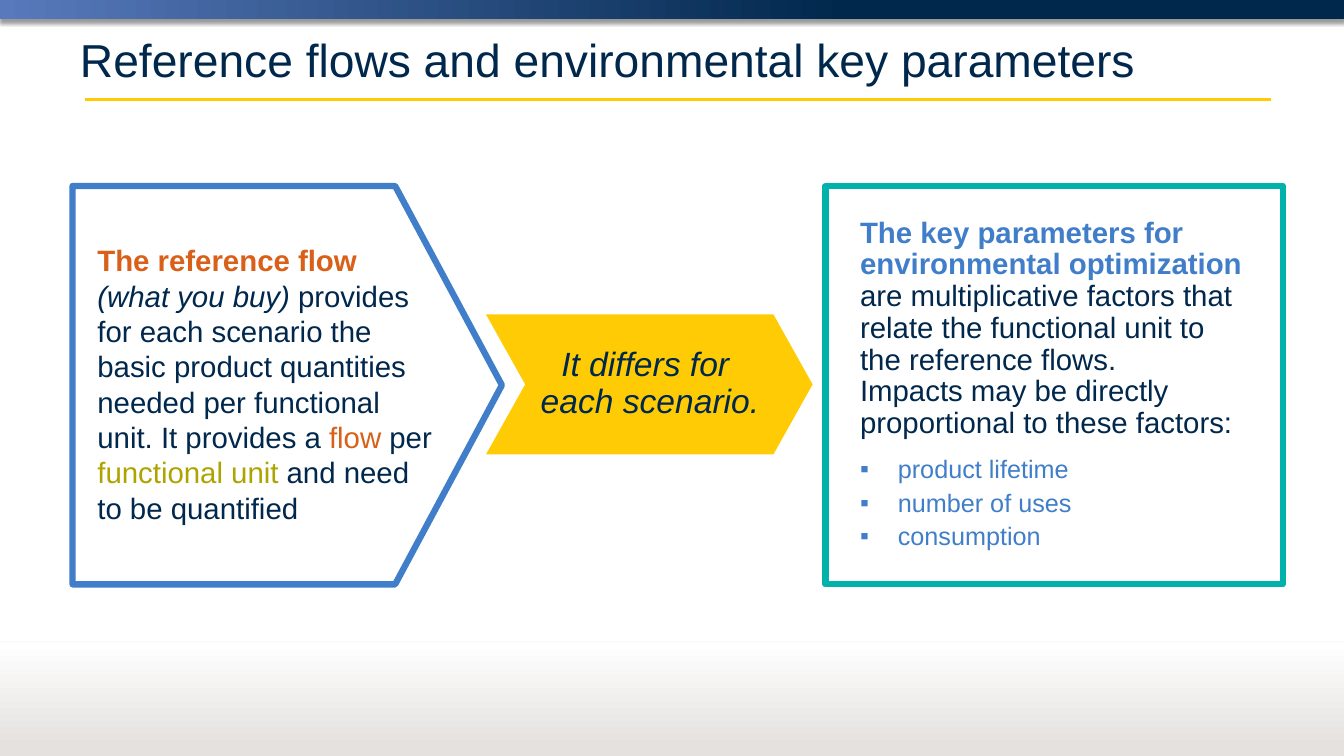
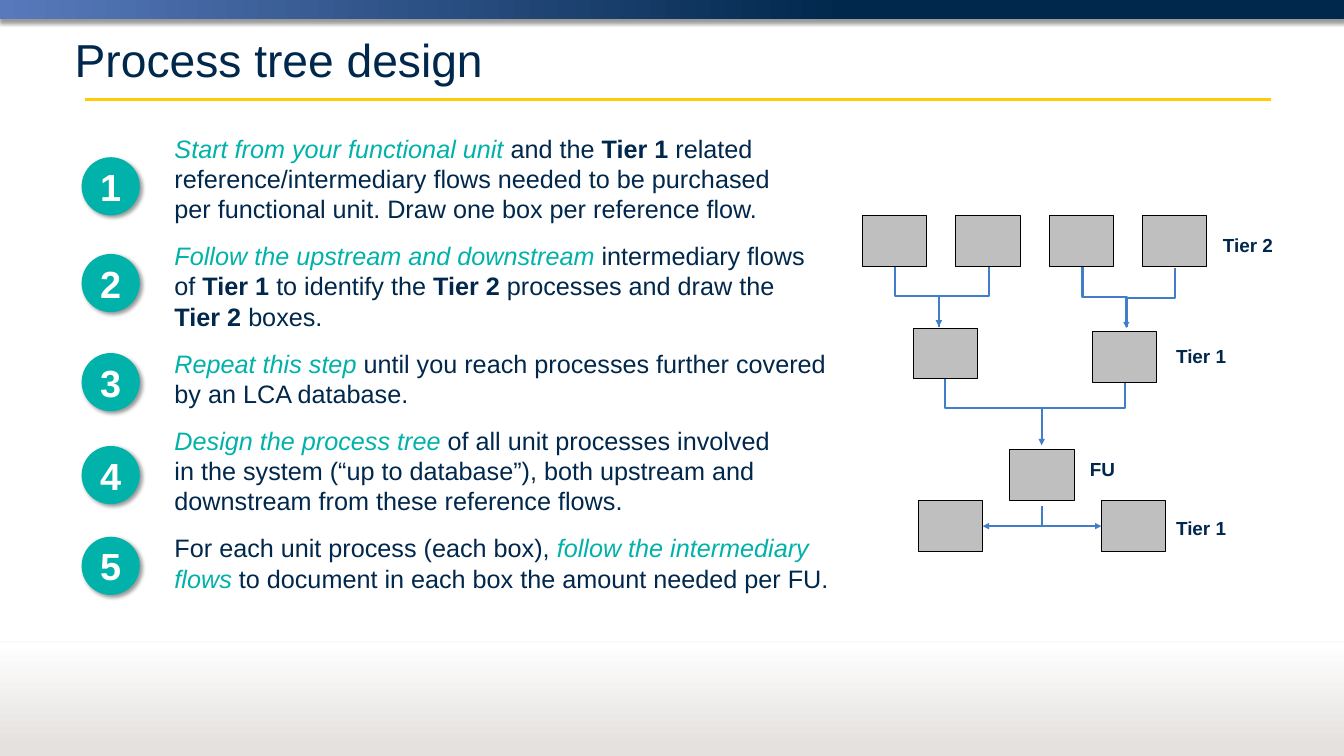
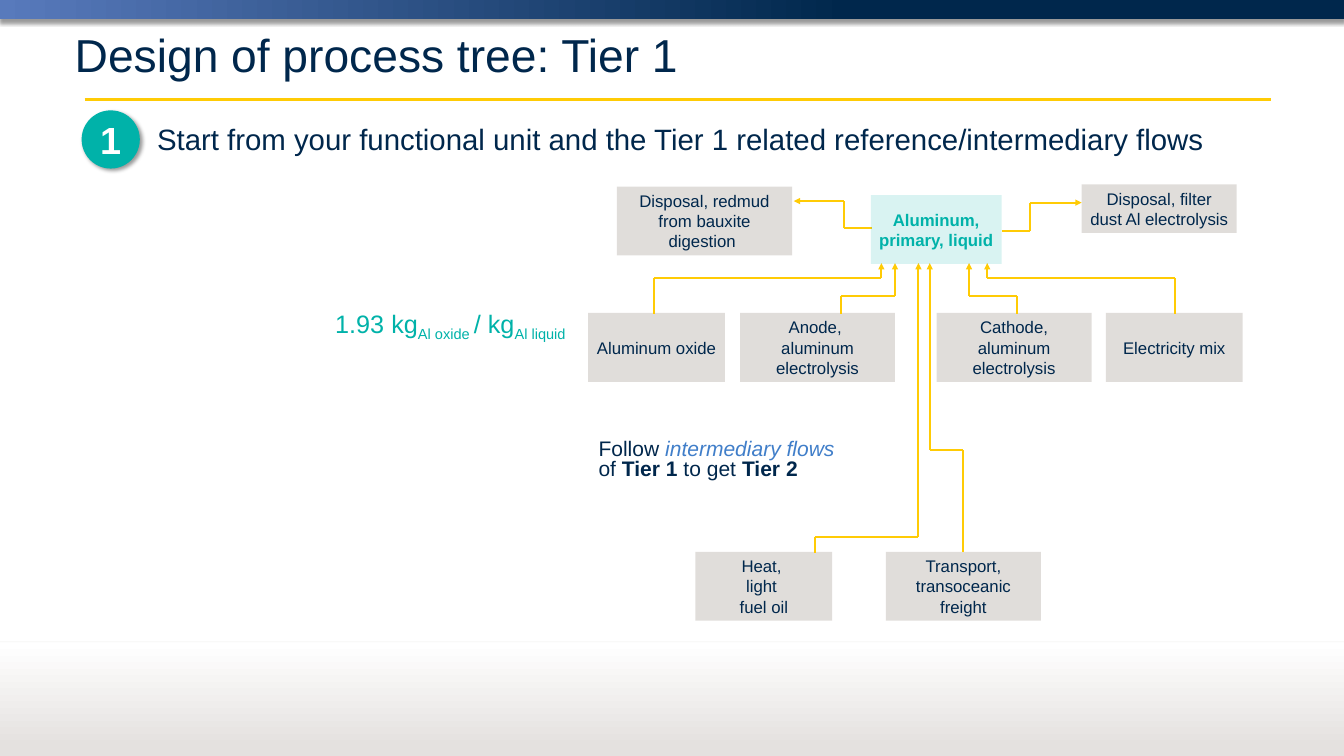
import lxml.etree
import pptx
import pptx.dml.color
import pptx.enum.shapes
import pptx.enum.text
import pptx.oxml.ns
import pptx.util

# Slide grid: one column and one row are each one inch
COLS, ROWS = 17.78, 10
FONT = "Arial"
NAVY, BLUE, SKY = "00274C", "407EC9", "587ABC"
GOLD, TEAL, ORANGE, OLIVE = "FFCB05", "00B2A9", "D86018", "ADA400"
STONE, WARM, GREY, WHITE, BLACK = "E4E1DF", "B0A8A2", "BFBFBF", "FFFFFF", "000000"

SHAPE = pptx.enum.shapes.MSO_SHAPE
LINE = pptx.enum.shapes.MSO_CONNECTOR
CENTER = pptx.enum.text.PP_ALIGN.CENTER
MIDDLE = pptx.enum.text.MSO_ANCHOR.MIDDLE
qn = pptx.oxml.ns.qn

BOLD = {"bold": True}
TEAL_ITALIC = {"color": TEAL, "italic": True}


def cells(*values):
    return [pptx.util.Inches(v) for v in values]


def rgb(value):
    return pptx.dml.color.RGBColor.from_string(value)


def add_xml(parent, tag, **attrs):
    return lxml.etree.SubElement(parent, qn(tag), {k: str(v) for k, v in attrs.items()})


def set_alpha(sp, percent):
    color = sp._element.spPr.find(".//" + qn("a:srgbClr"))
    add_xml(color, "a:alpha", val=percent * 1000)


def set_shadow(sp, alpha, blur, dist, angle):
    effects = sp._element.spPr.find(qn("a:effectLst"))
    outer = add_xml(effects, "a:outerShdw", blurRad=int(blur * 12700),
                    dist=int(dist * 12700), dir=angle * 60000, algn="ctr", rotWithShape=0)
    color = add_xml(outer, "a:srgbClr", val=BLACK)
    add_xml(color, "a:alpha", val=alpha * 1000)


# Text
def add_run(p, content, style):
    text, extra = (content, {}) if isinstance(content, str) else content
    fmt = {"name": FONT, "size": 24, "color": NAVY, **style, **extra}
    color, base = fmt.pop("color"), fmt.pop("baseline", None)
    fmt["size"] = pptx.util.Pt(fmt["size"])
    for i, line in enumerate(text.split("\n")):
        if i:
            p.add_line_break()
        if not line:
            continue
        r = p.add_run()
        r.text = line
        for name, value in fmt.items():
            setattr(r.font, name, value)
        r.font.color.rgb = rgb(color)
        if base:
            r._r.get_or_add_rPr().set("baseline", str(base * 1000))


def add_bullet(p, mark, color):
    pPr = p._p.get_or_add_pPr()
    indent = cells(0.5)[0]
    pPr.set("marL", str(indent))
    pPr.set("indent", str(-indent))
    add_xml(add_xml(pPr, "a:buClr"), "a:srgbClr", val=color)
    add_xml(pPr, "a:buFont", typeface=FONT)
    add_xml(pPr, "a:buChar", char=mark)


def write(sp, paragraphs, para=None, anchor=None, wrap=True, **style):
    """Fill a shape; each paragraph is a list of runs, a run is text or (text, format)."""
    tf = sp.text_frame
    tf.word_wrap = wrap
    if anchor is not None:
        tf.vertical_anchor = anchor
    for i, runs in enumerate(paragraphs):
        p = tf.add_paragraph() if i else tf.paragraphs[0]
        for name, value in (para or {}).items():
            setattr(p, name, value)
        for content in runs:
            add_run(p, content, style)
    return tf


def add_text(s, box, paragraphs, **options):
    return write(s.shapes.add_textbox(*cells(*box)), paragraphs, **options)


# Shapes and lines
def add_shape(s, kind, box, fill=None, alpha=None, line=None, width=1, adjust=()):
    sp = s.shapes.add_shape(kind, *cells(*box))
    sp.shadow.inherit = False
    for i, value in enumerate(adjust):
        sp.adjustments[i] = value
    if fill:
        sp.fill.solid()
        sp.fill.fore_color.rgb = rgb(fill)
    else:
        sp.fill.background()
    if alpha:
        set_alpha(sp, alpha)
    if line:
        sp.line.color.rgb = rgb(line)
        sp.line.width = pptx.util.Pt(width)
    else:
        sp.line.fill.background()
    return sp


def add_gradient(s, box, stops, angle):
    sp = add_shape(s, SHAPE.RECTANGLE, box, WHITE)
    sp.fill.gradient()
    sp.fill.gradient_angle = angle
    for stop, (position, color) in zip(sp.fill.gradient_stops, stops):
        stop.position = position
        stop.color.rgb = rgb(color)
    return sp


def add_line(s, start, end, color, width=2, arrow=False, kind=LINE.STRAIGHT):
    cxn = s.shapes.add_connector(kind, *cells(*start, *end))
    cxn.line.color.rgb = rgb(color)
    cxn.line.width = pptx.util.Pt(width)
    if arrow:
        add_xml(cxn.line._get_or_add_ln(), "a:tailEnd", type="triangle")
    add_xml(cxn._element.spPr, "a:effectLst")
    return cxn


def add_path(s, points, color):
    """Straight segments through the points, with an arrowhead on the last one."""
    last = len(points) - 2
    for i, (start, end) in enumerate(zip(points, points[1:])):
        add_line(s, start, end, color, arrow=i == last)


def add_elbow(s, start, end, color, arrow=False, corners=2):
    """A bent connector that leaves its start downwards."""
    (x1, y1), (x2, y2) = start, end
    w, h = y2 - y1, abs(x2 - x1)
    left, top = (x1 + x2 - w) / 2, (y1 + y2 - h) / 2
    cxn = add_line(s, (left, top), (left + w, top + h), color, arrow=arrow, kind=LINE.ELBOW)
    spPr = cxn._element.spPr
    spPr.find(qn("a:prstGeom")).set("prst", f"bentConnector{corners + 1}")
    xfrm = spPr.find(qn("a:xfrm"))
    xfrm.set("rot", str((270 if x2 > x1 else 90) * 60000))
    if x2 > x1:
        xfrm.set("flipH", "1")


def add_number(s, top, number):
    sp = add_shape(s, SHAPE.OVAL, (1.08, top, 0.77, 0.77), TEAL)
    set_shadow(sp, 40, 4, 3, 45)
    write(sp, [[str(number)]], {"alignment": CENTER}, MIDDLE, size=36, color=WHITE, bold=True)


def add_process(s, box, *paragraphs, fill=WARM, alpha=39, **style):
    sp = add_shape(s, SHAPE.RECTANGLE, box, fill, alpha)
    write(sp, [[text] for text in paragraphs], {"alignment": CENTER}, MIDDLE, size=16, **style)


# Bands, rules and title shared by all slides
def add_slide(prs, title, left=0.89, top=0.31, para=None):
    s = prs.slides.add_slide(prs.slide_layouts[6])
    band = add_gradient(s, (0, 0, COLS, 0.25), [(0, SKY), (0.63, NAVY)], 0)
    set_shadow(band, 40, 4, 3, 90)
    add_line(s, (1.12, 1.32), (16.81, 1.32), GOLD, 3)
    add_gradient(s, (0, 8.5, COLS, 1.5), [(0.08, STONE), (1, WHITE)], 90)
    rule = add_line(s, (0, 8.49), (COLS, 8.49), STONE, 0.75)
    set_alpha(rule, 30)
    set_shadow(rule, 38, 3.1, 1.6, 90)
    add_text(s, (left, top, 16, 0.95), [[title]], para=para, anchor=MIDDLE, size=44)
    return s


def reference_flows(prs):
    s = add_slide(prs, "Reference flows and environmental key parameters", 0.96, 0.3)
    add_shape(s, SHAPE.CHEVRON, (6.43, 4.16, 4.32, 1.85), GOLD, adjust=[0.28])

    # Key parameters
    factors = ["product lifetime", "number of uses", "consumption"]
    tf = add_text(s, (11.28, 2.83, 5.43, 4.57), [
        [("The key parameters for \nenvironmental optimization \n", {"color": BLUE, "bold": True}),
         "are multiplicative factors that relate the functional unit to \n"
         "the reference flows. \nImpacts may be directly \nproportional to these factors:"],
        *[[(factor, {"size": 24, "color": BLUE})] for factor in factors],
    ], para={"line_spacing": 0.9}, size=28)
    lead, *bullets = tf.paragraphs
    lead.space_after = pptx.util.Pt(10)
    for p in bullets:
        p.space_before = pptx.util.Pt(6)
        add_bullet(p, "▪", BLUE)

    # Reference flow
    add_text(s, (1.19, 3.16, 4.67, 3.87), [[
        ("The reference flow \n", {"color": ORANGE, "bold": True}),
        ("(what you buy) ", {"italic": True}),
        "provides for each scenario the basic product quantities needed per functional unit. "
        "It provides a ",
        ("flow ", {"color": ORANGE}), "per ",
        ("functional unit ", {"color": OLIVE}), "and need to be quantified",
    ]], size=28)

    # Frames and link
    add_shape(s, SHAPE.RIGHT_ARROW, (0.96, 2.46, 5.68, 5.27), line=BLUE, width=6,
              adjust=[1, 0.268])
    add_shape(s, SHAPE.RECTANGLE, (10.92, 2.46, 6.05, 5.27), line=TEAL, width=6)
    add_text(s, (7.04, 4.55, 3.12, 1.07), [["It differs for \neach scenario."]], wrap=False,
             para={"alignment": CENTER, "line_spacing": 0.9}, size=32, italic=True)


def process_tree(prs):
    s = add_slide(prs, "Process tree design")

    # Steps
    add_text(s, (2.21, 1.71, 9.85, 6.25), [
        [("Start from your functional unit ", TEAL_ITALIC), "and the ", ("Tier 1 ", BOLD),
         "related reference/intermediary flows needed to be purchased \n"
         "per functional unit. Draw one box per reference flow."],
        [("Follow the upstream and downstream ", TEAL_ITALIC), "intermediary flows \nof ",
         ("Tier 1 ", BOLD), "to identify the ", ("Tier 2", BOLD),
         " processes and draw the \n", ("Tier 2 ", BOLD), "boxes."],
        [("Repeat this step ", TEAL_ITALIC),
         "until you reach processes further covered \nby an LCA database."],
        [("Design the process tree ", TEAL_ITALIC),
         "of all unit processes involved \nin the system (“up to database”), both upstream and \n"
         "downstream from these reference flows."],
        ["For each unit process (each box), ",
         ("follow the intermediary \nflows ", TEAL_ITALIC),
         "to document in each box the amount needed per FU."],
    ], para={"space_after": pptx.util.Pt(16)})
    for number, top in enumerate([2.08, 3.36, 4.67, 5.9, 7.1], 1):
        add_number(s, top, number)

    # Tree links
    for start, end, arrow in [
        ((12.5, 4.9), (13.78, 5.89), True), ((14.88, 5.03), (13.78, 5.77), False),
        ((11.84, 3.51), (12.42, 4.32), False), ((13.08, 3.52), (12.42, 4.32), True),
        ((14.32, 3.53), (14.91, 4.33), False), ((15.54, 3.55), (14.9, 4.34), True),
    ]:
        add_elbow(s, start, end, BLUE, arrow)
    for x in (13, 14.57):
        add_elbow(s, (13.78, 6.7), (x, 6.96), BLUE, True, corners=1)

    # Tree boxes: tier 2, tier 1, functional unit, downstream tier 1
    tier2 = [(11.41 + 1.235 * i, 2.85) for i in range(4)]
    for left, top in tier2 + [(12.08, 4.34), (14.45, 4.39), (13.36, 5.95),
                              (12.15, 6.62), (14.57, 6.62)]:
        add_shape(s, SHAPE.RECTANGLE, (left, top, 0.85, 0.67), GREY, line=BLACK)
    for label, left, top in [("Tier 2", 16.08, 3.04), ("Tier 1", 15.46, 4.51),
                             ("FU", 14.32, 6), ("Tier 1", 15.46, 6.79)]:
        add_text(s, (left, top, 0.88, 0.4), [[label]], size=18, bold=True)


def tier_one(prs):
    tight = {"line_spacing": 0.8}
    s = add_slide(prs, "Design of process tree: Tier 1", para=tight)

    # Processes
    high, narrow, wide = 0.91, 1.81, 2.05
    inputs, remote = 4.14, 7.3
    for left, top, width, height, *lines in [
        (7.78, inputs, narrow, high, "Aluminum oxide"),
        (9.79, inputs, wide, high, "Anode, \naluminum electrolysis"),
        (12.39, inputs, wide, high, "Cathode, aluminum electrolysis"),
        (14.63, inputs, narrow, high, "Electricity mix"),
        (9.2, remote, narrow, high, "Heat, ", "light \nfuel oil"),
        (11.72, remote, wide, high, "Transport, transoceanic freight"),
        (8.16, 2.47, 2.32, high, "Disposal, redmud from bauxite digestion "),
        (14.31, 2.44, wide, 0.64, "Disposal, filter dust Al electrolysis "),
    ]:
        add_process(s, (left, top, width, height), *lines)

    # Inputs rise to the product, sidestepping at the bend
    for x1, y1, bend, x2 in [
        (15.54, 4.15, 3.68, 13.06), (13.45, 4.15, 3.91, 12.82), (8.65, 4.15, 3.68, 11.66),
        (11.13, 4.15, 3.91, 11.84), (12.74, 7.3, 5.95, 12.3), (10.78, 7.31, 7.1, 12.15),
    ]:
        add_path(s, [(x1, y1), (x1, bend), (x2, bend), (x2, 3.48)], GOLD)

    # Outputs leave sideways to disposal
    for x1, y1, bend, x2, y2 in [(13.26, 3.05, 13.63, 14.31, 2.68),
                                 (11.53, 3.02, 11.17, 10.5, 2.66)]:
        add_path(s, [(x1, y1), (bend, y1), (bend, y2), (x2, y2)], GOLD)

    # Notes beside the tree
    add_text(s, (7.82, 5.77, 3.96, 0.64), [[
        "Follow", (" intermediary flows \n", {"color": BLUE, "italic": True}),
        "of ", ("Tier 1", BOLD), " to get ", ("Tier 2", BOLD),
    ]], para=tight, size=20)
    sub = {"baseline": -25}
    add_text(s, (4.03, 4.03, 3.86, 0.5),
             [["1.93 kg", ("Al oxide ", sub), "/ kg", ("Al liquid", sub)]],
             para={"alignment": CENTER}, color=TEAL)
    add_process(s, (11.52, 2.58, 1.73, high), "Aluminum, primary, liquid",
                fill=TEAL, alpha=15, color=TEAL, bold=True)

    # Step heading
    add_text(s, (1.98, 1.55, 15.5, 0.57), [[
        "Start from your functional unit and the Tier 1 related reference/intermediary flows",
    ]], size=28)
    add_number(s, 1.46, 1)


def main():
    prs = pptx.Presentation()
    prs.slide_width, prs.slide_height = cells(COLS, ROWS)
    reference_flows(prs)
    process_tree(prs)
    tier_one(prs)
    prs.save("out.pptx")


if __name__ == "__main__":
    main()
